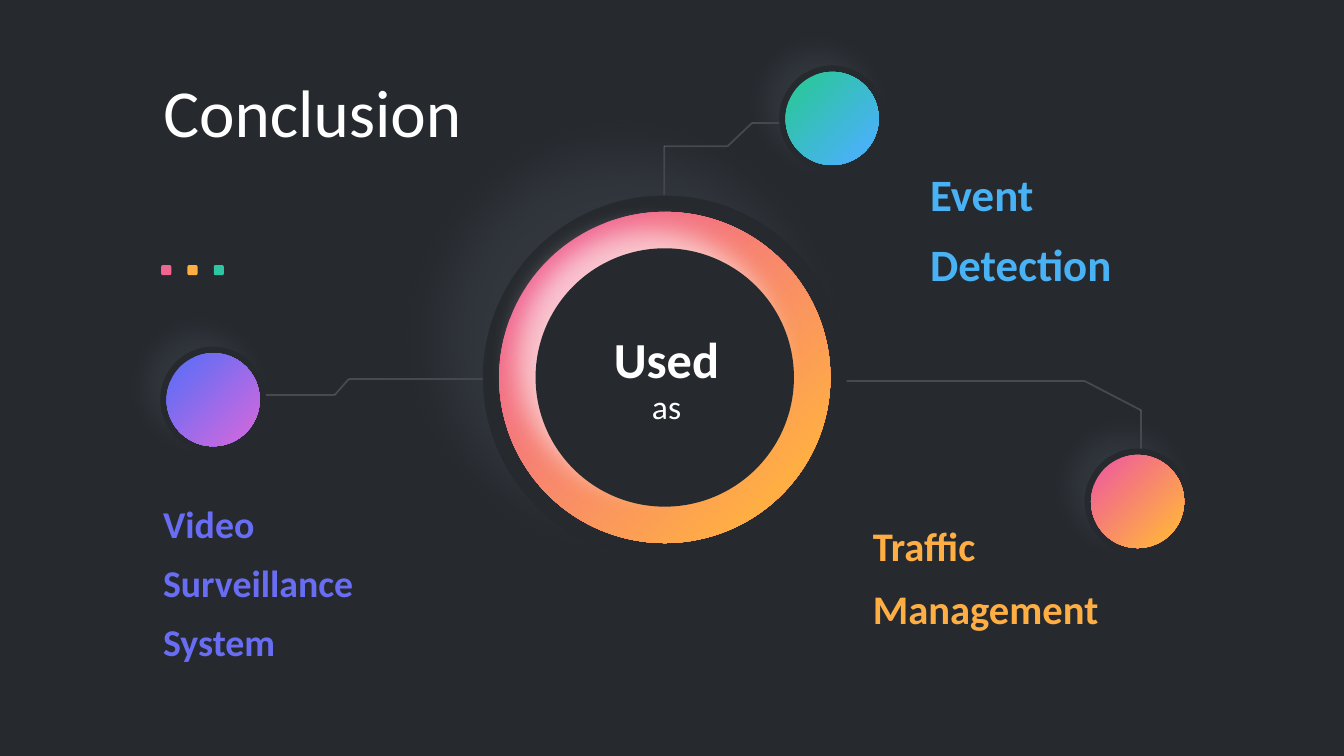
from dataclasses import dataclass
from itertools import pairwise

from lxml.etree import SubElement
from pptx import Presentation
from pptx.dml.color import RGBColor
from pptx.enum.shapes import MSO_CONNECTOR, MSO_SHAPE
from pptx.enum.text import MSO_ANCHOR, MSO_AUTO_SIZE, PP_ALIGN
from pptx.oxml.ns import qn
from pptx.util import Inches, Pt

BACKGROUND = RGBColor(0x26, 0x2A, 0x2F)
GLOW = RGBColor(0x3E, 0x44, 0x4C)
LINE = RGBColor(0xD0, 0xCE, 0xCE)
WHITE = RGBColor(0xFF, 0xFF, 0xFF)
PINK = RGBColor(0xF1, 0x66, 0x90)
ORANGE = RGBColor(0xFF, 0xAE, 0x44)
GREEN = RGBColor(0x2D, 0xC5, 0xA2)
BLUE = RGBColor(0x49, 0xB2, 0xF5)
INDIGO = RGBColor(0x68, 0x6D, 0xF4)
PURPLE = RGBColor(0xC5, 0x69, 0xE0)

FONT = "Calibri"
SLIDE_WIDTH = Inches(13.33)
SLIDE_HEIGHT = Inches(7.5)
COLUMN = SLIDE_WIDTH / 128
ROW = SLIDE_HEIGHT / 72
NODE_SIZE = 10.08


@dataclass
class Box:
    left: float
    top: float
    width: float
    height: float

    def inner(self, left, top, width, height):
        return Box(self.left + left * self.width, self.top + top * self.height,
                   width * self.width, height * self.height)

    def centred(self, share):
        margin = (1 - share) / 2
        return self.inner(margin, margin, share, share)

    def lengths(self):
        return (round(self.left * COLUMN), round(self.top * ROW),
                round(self.width * COLUMN), round(self.height * ROW))


def add_plain_shape(slide, kind, box, color):
    shape = slide.shapes.add_shape(kind, *box.lengths())
    shape.shadow.inherit = False
    shape.fill.solid()
    shape.fill.fore_color.rgb = color
    shape.line.fill.background()
    return shape


def add_disc(slide, box, color, opacity, blur, distance):
    shape = add_plain_shape(slide, MSO_SHAPE.OVAL, box, BACKGROUND)
    effects = shape.element.spPr.find(qn("a:effectLst"))
    shadow = SubElement(effects, qn("a:outerShdw"), blurRad=str(Pt(blur)), dist=str(Pt(distance)),
                        dir=str(225 * 60000), algn="br", rotWithShape="0")
    tint = SubElement(shadow, qn("a:srgbClr"), val=str(color))
    SubElement(tint, qn("a:alpha"), val=str(opacity * 1000))


def add_gradient_disc(slide, box, start, end):
    shape = add_plain_shape(slide, MSO_SHAPE.OVAL, box, start)
    shape.fill.gradient()
    shape.fill.gradient_angle = 315
    for stop, color, position in zip(shape.fill.gradient_stops, (start, end), (0.16, 0.84)):
        stop.color.rgb = color
        stop.position = position


def write_text(shape, text, size, color, bold=False, alignment=PP_ALIGN.LEFT, spacing=1.0):
    frame = shape.text_frame
    frame.text = text
    frame.word_wrap = True
    frame.auto_size = MSO_AUTO_SIZE.SHAPE_TO_FIT_TEXT
    frame.vertical_anchor = MSO_ANCHOR.TOP
    paragraph = frame.paragraphs[0]
    paragraph.alignment = alignment
    paragraph.line_spacing = spacing
    paragraph.font.name = FONT
    paragraph.font.size = Pt(size)
    paragraph.font.bold = bold
    paragraph.font.color.rgb = color


def add_title(slide, box):
    title = slide.shapes.title
    title.left, title.top, title.width, title.height = box.lengths()
    write_text(title, "Conclusion", 48, WHITE)


def add_dots(slide, box):
    for index, color in enumerate((PINK, ORANGE, GREEN)):
        dot = Box(box.left + index * 2.5, box.top, box.height, box.height)
        add_plain_shape(slide, MSO_SHAPE.ROUNDED_RECTANGLE, dot, color)


def add_route(slide, points):
    for (x1, y1), (x2, y2) in pairwise(points):
        connector = slide.shapes.add_connector(
            MSO_CONNECTOR.STRAIGHT, round(x1 * COLUMN), round(y1 * ROW),
            round(x2 * COLUMN), round(y2 * ROW))
        connector.line.width = Pt(1.25)
        connector.line.color.rgb = LINE
        properties = connector.element.spPr
        tint = next(properties.iter(qn("a:srgbClr")))
        SubElement(tint, qn("a:alpha"), val="20000")
        SubElement(properties, qn("a:effectLst"))


def add_hub(slide, box):
    add_disc(slide, box, GLOW, 50, 42, 42)
    add_gradient_disc(slide, box.centred(0.91), PINK, ORANGE)
    add_disc(slide, box.centred(0.71), WHITE, 60, 20, 18)
    for text, size, bold, place in (
        ("Used", 36, True, (0.22, 0.35, 0.57, 0.2)),
        ("as", 24, False, (0.15, 0.51, 0.71, 0.14)),
    ):
        label = slide.shapes.add_textbox(*box.inner(*place).lengths())
        write_text(label, text, size, WHITE, bold, PP_ALIGN.CENTER)


def add_branch(slide, node, label_box, text, size, color, gradient):
    add_disc(slide, node, GLOW, 50, 20, 15)
    add_gradient_disc(slide, node.centred(0.88), *gradient)
    label = slide.shapes.add_textbox(*label_box.lengths())
    write_text(label, text, size, color, True, spacing=1.3)


def main():
    presentation = Presentation()
    presentation.slide_width = SLIDE_WIDTH
    presentation.slide_height = SLIDE_HEIGHT
    slide = presentation.slides.add_slide(presentation.slide_layouts[5])
    slide.background.fill.solid()
    slide.background.fill.fore_color.rgb = BACKGROUND

    for route in (
        [(80.54, 36.29), (103.3, 36.29), (108.67, 39.07), (108.67, 49.54)],
        [(46.37, 36.1), (33.22, 36.1), (31.87, 37.63), (20.35, 37.63)],
        [(63.26, 20.45), (63.26, 13.92), (69.31, 13.92), (71.62, 11.71), (75.94, 11.71)],
    ):
        add_route(slide, route)
    add_hub(slide, Box(45.98, 18.62, 34.66, 34.66))
    add_title(slide, Box(14.59, 6.24, 38.2, 8.74))
    add_dots(slide, Box(15.36, 25.25, 5.96, 0.96))
    for corner, label_box, text, size, color, gradient in (
        ((15.26, 33.02), Box(14.59, 45.89, 23.42, 4.42),
         "Video Surveillance System", 27, INDIGO, (INDIGO, PURPLE)),
        ((74.21, 6.24), Box(87.65, 13.92, 22.94, 14.4),
         "Event Detection", 32, BLUE, (GREEN, BLUE)),
        ((103.3, 42.72), Box(82.18, 47.71, 23.9, 4.42),
         "Traffic Management", 29, ORANGE, (PINK, ORANGE)),
    ):
        node = Box(*corner, NODE_SIZE, NODE_SIZE)
        add_branch(slide, node, label_box, text, size, color, gradient)

    presentation.save("out.pptx")


if __name__ == "__main__":
    main()
